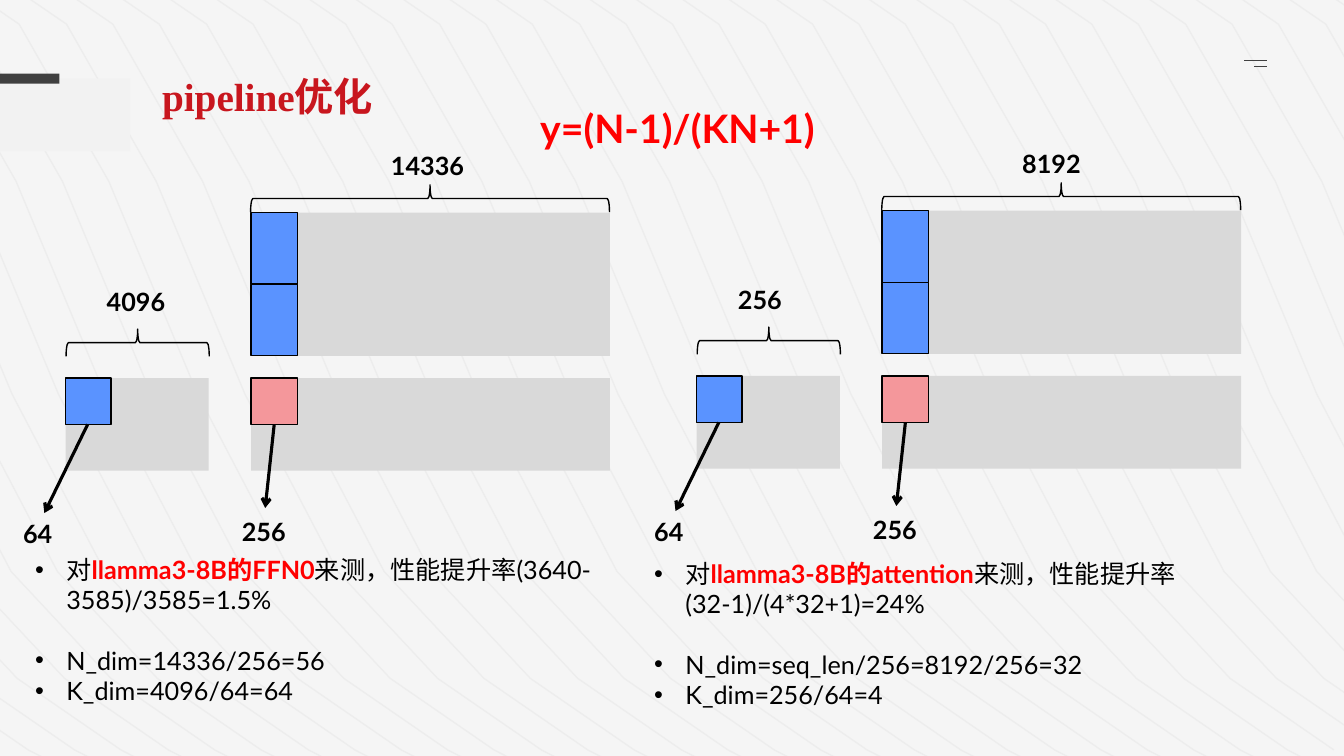
"""Build the pipeline optimisation slide with two tiled matrix diagrams."""
import pptx
import pptx.util
import pptx.dml.color
import pptx.enum.shapes
import pptx.oxml
import pptx.oxml.ns
from lxml import etree

RGBColor = pptx.dml.color.RGBColor
Pt = pptx.util.Pt
SHAPE = pptx.enum.shapes.MSO_SHAPE
qn = pptx.oxml.ns.qn

PX = 9144
BACKDROP = RGBColor(0xF5, 0xF5, 0xF5)
WAVE = RGBColor(0xED, 0xED, 0xED)
PALE = RGBColor(0xF2, 0xF2, 0xF2)
DARK = RGBColor(0x40, 0x40, 0x40)
GREY = RGBColor(0xD9, 0xD9, 0xD9)
BLUE = RGBColor(0x5A, 0x93, 0xFF)
PINK = RGBColor(0xF4, 0x97, 0x9B)
BLACK = RGBColor(0, 0, 0)
RED = RGBColor(0xFF, 0, 0)
CRIMSON = RGBColor(0xC8, 0x16, 0x1E)

prs = pptx.Presentation()
prs.slide_width = 1333 * PX
prs.slide_height = 750 * PX
slide = prs.slides.add_slide(prs.slide_layouts[6])
slide.background.fill.solid()
slide.background.fill.fore_color.rgb = BACKDROP


def add_block(kind, x, y, w, h, fill=None, outline=None):
    block = slide.shapes.add_shape(kind, x * PX, y * PX, w * PX, h * PX)
    block.shadow.inherit = False
    if fill is None:
        block.fill.background()
    else:
        block.fill.solid()
        block.fill.fore_color.rgb = fill
    if outline is None:
        block.line.fill.background()
    else:
        block.line.color.rgb = outline
        block.line.width = Pt(1)
    return block


def add_label(text, x, y, w, h, size=18, color=BLACK, font="Lato"):
    frame = slide.shapes.add_textbox(x * PX, y * PX, w * PX, h * PX).text_frame
    frame.word_wrap = True
    frame.text = text
    run = frame.paragraphs[0].runs[0]
    run.font.size = Pt(size)
    run.font.name = font
    run.font.bold = True
    run.font.color.rgb = color


WAVE_BENDS = [
    [(0, 21), (93, -3), (186, -27), (277, 72)],
    [(277, 72), (368, 171), (450, 486), (546, 615)],
    [(546, 615), (642, 744), (748, 795), (854, 846)],
]
wave_points = [WAVE_BENDS[0][0]]
for bend in WAVE_BENDS:
    for step in range(1, 4):
        t = step / 3
        weights = [(1 - t) ** 3, 3 * t * (1 - t) ** 2, 3 * t * t * (1 - t), t ** 3]
        wave_points.append(tuple(
            round(sum(weight * point[axis] for weight, point in zip(weights, bend)))
            for axis in (0, 1)))

builder = slide.shapes.build_freeform(0, 0, scale=PX)
for index in range(40):
    wave_x = round(-720 + 46.25 * index)
    curve = [(wave_x + x, y - 48) for x, y in wave_points if -120 < wave_x + x < 1420]
    builder.move_to(*curve[0])
    builder.add_line_segments(curve[1:], close=False)
waves = builder.convert_to_shape()
waves.shadow.inherit = False
waves.fill.background()
waves.line.color.rgb = WAVE
waves.line.width = Pt(1)

add_block(SHAPE.RECTANGLE, -38, 78, 167, 72, PALE)
add_block(SHAPE.RECTANGLE, 0, 73, 59, 10, DARK)
add_label("pipeline优化", 151, 67, 733, 57, 28, CRIMSON, "Times New Roman")
add_label("y=(N-1)/(KN+1)", 526, 99, 330, 57, 28, RED)

strokes = [
    (1234, 60, 1257, 60, DARK, 1, False),
    (1244, 66, 1257, 66, DARK, 1, False),
]

for dx, dy, k_size, n_size in [(0, 0, "4096", "14336"), (626, -2, "256", "8192")]:
    for x, y, w, h, fill, edge in [
        (65, 375, 142, 92, GREY, None),
        (65, 375, 45, 46, BLUE, BLACK),
        (249, 211, 356, 142, GREY, None),
        (249, 375, 356, 92, GREY, None),
        (249, 375, 46, 46, PINK, BLACK),
        (249, 211, 46, 71, BLUE, BLACK),
        (249, 282, 46, 71, BLUE, BLACK),
    ]:
        add_block(SHAPE.RECTANGLE, x + dx, y + dy, w, h, fill, edge)
    for x, y, span in [(123, 269, 142), (413, 19, 356)]:
        brace = add_block(SHAPE.LEFT_BRACE, x + dx, y + dy, 27, span, None, BLACK)
        brace.rotation = 90
    for text, x, y, w in [
        (k_size, 96, 279, 105),
        ("64", 13, 509, 105),
        ("256", 230, 507, 75),
        (n_size, 378, 144, 97),
    ]:
        add_label(text, x + dx, y + dy, w, 40)
    for x1, y1, x2, y2 in [(87, 421, 44, 509), (272, 421, 263, 504)]:
        strokes.append((x1 + dx, y1 + dy, x2 + dx, y2 + dy, BLACK, 2.25, True))

for x1, y1, x2, y2, color, width, arrow in strokes:
    stroke = slide.shapes.add_connector(
        pptx.enum.shapes.MSO_CONNECTOR.STRAIGHT, x1 * PX, y1 * PX, x2 * PX, y2 * PX)
    stroke.line.color.rgb = color
    stroke.line.width = Pt(width)
    properties = stroke.element.spPr
    if arrow:
        etree.SubElement(properties.find(qn("a:ln")), qn("a:tailEnd"), type="arrow")
    etree.SubElement(properties, qn("a:effectLst"))

findings = [
    (25, 545, 205, [
        ["对", "llamma3-8B的FFN0", "来测，性能提升率(3640-3585)/3585=1.5%"],
        ["N_dim=14336/256=56"],
        ["K_dim=4096/64=64"],
    ]),
    (639, 549, 161, [
        ["对", "llamma3-8B的attention", "来测，性能提升率(32-1)/(4*32+1)=24%"],
        ["N_dim=seq_len/256=8192/256=32"],
        ["K_dim=256/64=4"],
    ]),
]
for x, y, h, points in findings:
    notes = slide.shapes.add_textbox(x * PX, y * PX, 580 * PX, h * PX).text_frame
    notes.word_wrap = True
    for order, pieces in enumerate(points):
        point = notes.paragraphs[0] if order == 0 else notes.add_paragraph()
        layout = point._p.get_or_add_pPr()
        layout.set("marL", str(31 * PX))
        layout.set("indent", str(-31 * PX))
        if order == 1:
            point.space_before = Pt(21.6)
        etree.SubElement(layout, qn("a:buFont"), typeface="Arial")
        etree.SubElement(layout, qn("a:buChar"), char="•")
        for position, piece in enumerate(pieces):
            run = point.add_run()
            run.text = piece
            run.font.size = Pt(18)
            run.font.name = "Lato"
            run.font.bold = position == 1
            run.font.color.rgb = RED if position == 1 else BLACK

prs.save("out.pptx")
